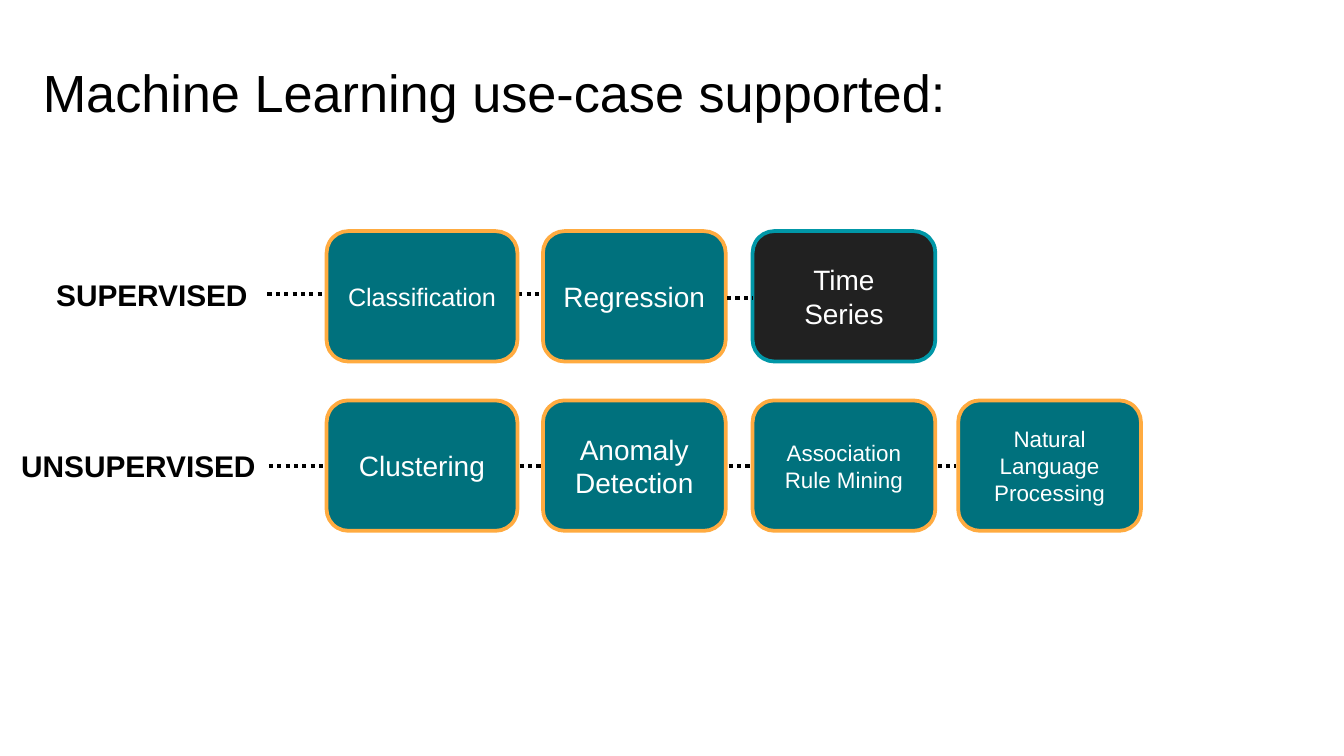
from dataclasses import dataclass

from lxml import etree
from pptx import Presentation
from pptx import util as u
from pptx.dml.color import RGBColor
from pptx.enum import dml, shapes, text
from pptx.oxml import ns


@dataclass(frozen=True)
class Theme:
    """Colours, font and type sizes of the slide."""
    font: str = "Arial"
    ink: str = "000000"
    paper: str = "FFFFFF"
    teal: str = "00717D"
    orange: str = "FFAB40"
    dark: str = "212121"
    cyan: str = "0097A7"
    title: float = 28
    label: float = 16
    large: float = 15
    medium: float = 13.5
    small: float = 12
    outline: float = 2
    dots: float = 2.25


THEME = Theme()
CARD_HEIGHT = 0.97
COLUMNS = [(2.43, 1.42), (4.04, 1.36), (5.6, 1.36), (7.13, 1.36)]


def apply_format(target, values):
    """Set each named attribute on the target."""
    for name, value in values.items():
        setattr(target, name, value)


def write_text(shape, words, size, color, frame_format, bold=False, align=text.PP_ALIGN.LEFT):
    """Put one formatted paragraph in a shape."""
    apply_format(shape.text_frame, frame_format)
    paragraph = shape.text_frame.paragraphs[0]
    paragraph.alignment = align
    run = paragraph.add_run()
    run.text = words
    apply_format(run.font, {"name": THEME.font, "size": u.Pt(size), "bold": bold})
    run.font.color.rgb = RGBColor.from_string(color)


def add_title(slide, box, words):
    """Place the slide title in its box."""
    shape = slide.shapes.add_textbox(*map(u.Inches, box))
    write_text(shape, words, THEME.title, THEME.ink, {
        "word_wrap": True, "margin_top": u.Inches(0.1), "margin_bottom": u.Inches(0.1),
        "vertical_anchor": text.MSO_ANCHOR.TOP})


def add_dotted_line(slide, left, right, y):
    """Draw a horizontal dotted line."""
    line = slide.shapes.add_connector(
        shapes.MSO_CONNECTOR.STRAIGHT, *map(u.Inches, (left, y, right, y)))
    apply_format(line.line, {"width": u.Pt(THEME.dots), "dash_style": dml.MSO_LINE.ROUND_DOT})
    line.line.color.rgb = RGBColor.from_string(THEME.ink)
    etree.SubElement(line._element.spPr, ns.qn("a:effectLst"))


def add_card(slide, box, words, size, fill, outline):
    """Draw a rounded card with centred text."""
    card = slide.shapes.add_shape(shapes.MSO_SHAPE.ROUNDED_RECTANGLE, *map(u.Inches, box))
    card.shadow.inherit = False
    card.fill.solid()
    card.fill.fore_color.rgb = RGBColor.from_string(fill)
    card.line.color.rgb = RGBColor.from_string(outline)
    card.line.width = u.Pt(THEME.outline)
    write_text(card, words, size, THEME.paper, {
        "word_wrap": True, "margin_left": u.Inches(0.1), "margin_right": u.Inches(0.1),
        "vertical_anchor": text.MSO_ANCHOR.MIDDLE}, align=text.PP_ALIGN.CENTER)


def add_row(slide, top, label, label_box, line, cards):
    """Place a labelled row of cards on a dotted line; offsets run from the row top."""
    start, end, line_offset = line
    add_dotted_line(slide, start, end, top + line_offset)
    left, offset, width, height = label_box
    caption = slide.shapes.add_textbox(*map(u.Inches, (left, top + offset, width, height)))
    write_text(caption, label, THEME.label, THEME.ink, {
        "word_wrap": False, "auto_size": text.MSO_AUTO_SIZE.SHAPE_TO_FIT_TEXT}, bold=True)
    for (card_left, card_width), (words, size, fill, outline) in zip(COLUMNS, cards):
        add_card(slide, (card_left, top, card_width, CARD_HEIGHT), words, size, fill, outline)


def main():
    """Build and save the slide."""
    presentation = Presentation()
    width = u.Inches(10)
    apply_format(presentation, {"slide_width": width, "slide_height": width * 9 // 16})
    slide = presentation.slides.add_slide(presentation.slide_layouts[6])
    teal = (THEME.teal, THEME.orange)
    dark = (THEME.dark, THEME.cyan)
    add_title(slide, (0.22, 0.35, 7.8, 0.63), "Machine Learning use-case supported:")
    add_row(slide, 1.72, "SUPERVISED", (0.32, 0.29, 1.64, 0.37), (1.99, 5.25, 0.47), [
        ("Classification", THEME.medium, *teal),
        ("Regression", THEME.large, *teal),
        ("Time Series", THEME.large, *dark)])
    add_dotted_line(slide, 5.41, 5.6, 2.22)
    add_row(slide, 2.98, "UNSUPERVISED", (0.06, 0.3, 1.97, 0.37), (2, 7.11, 0.49), [
        ("Clustering", THEME.large, *teal),
        ("Anomaly Detection", THEME.large, *teal),
        ("Association Rule Mining", THEME.small, *teal),
        ("Natural Language Processing", THEME.small, *teal)])
    presentation.save("out.pptx")


if __name__ == "__main__":
    main()
